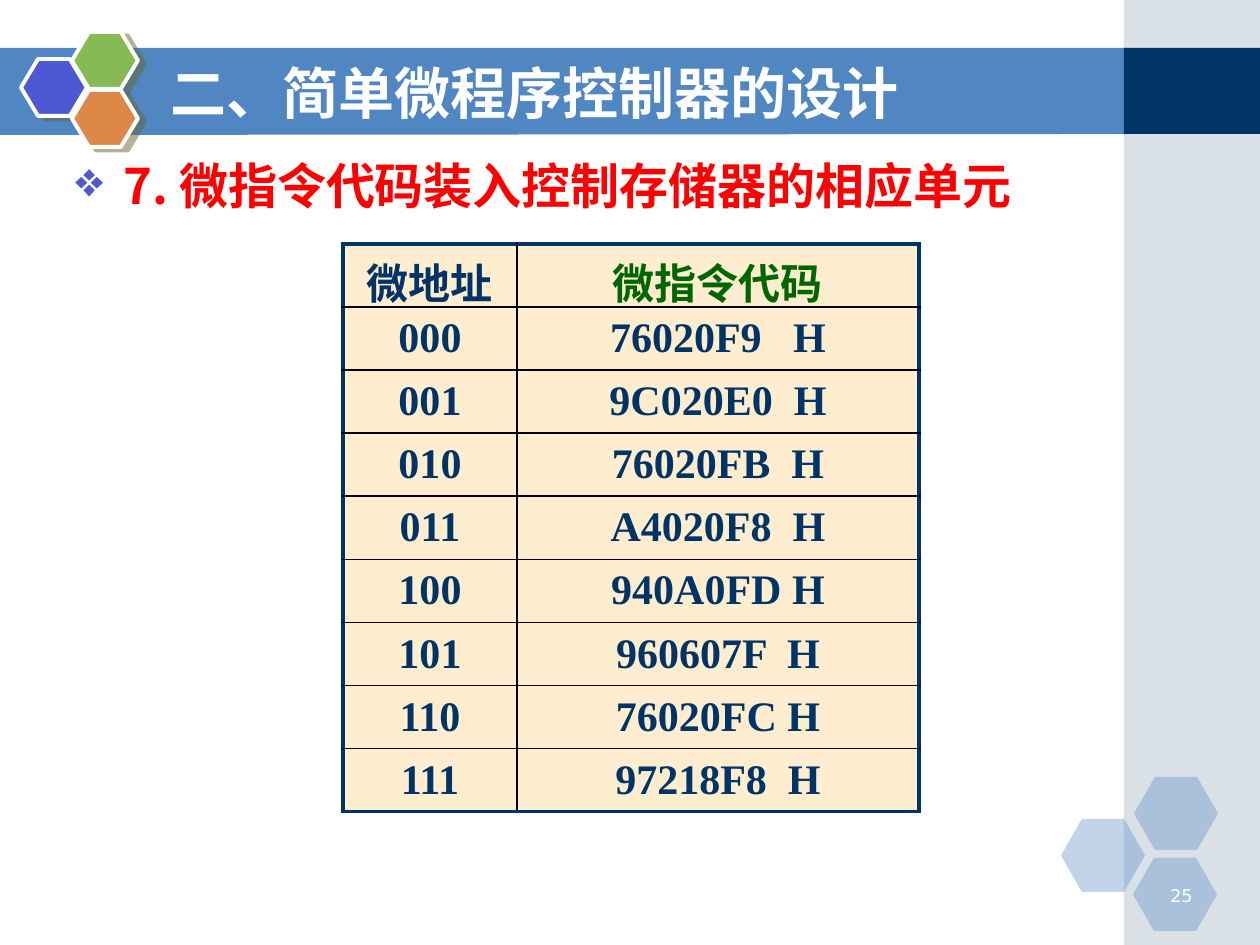
from lxml import etree
from pptx import Presentation
from pptx import util as u
from pptx.dml.color import RGBColor
from pptx.enum import shapes, text
from pptx.oxml import ns

PX = 914400 / 126
NAVY, BLUE, WHITE, CREAM = "003366", "5086C2", "FFFFFF", "FEEDCE"
SANS, SERIF = "Noto Sans CJK SC", "Times New Roman"
LEFT, MID, RIGHT = (text.PP_ALIGN.LEFT, text.PP_ALIGN.CENTER,
                    text.PP_ALIGN.RIGHT)
RECT, HEX = shapes.MSO_SHAPE.RECTANGLE, shapes.MSO_SHAPE.HEXAGON


def px(*nums):
    return [u.Emu(round(n * PX)) for n in nums]


def rgb(code):
    return RGBColor.from_string(code)


def add(parent, tag, **attrs):
    return etree.SubElement(parent, ns.qn("a:" + tag), attrs)


def tint(parent, code, alpha=None):
    """Add a solid colour element, with opacity in percent."""
    clr = add(parent, "srgbClr", val=code)
    if alpha:
        add(clr, "alpha", val=str(alpha * 1000))


class Deck:
    def __init__(self, wide, high):
        self.prs = Presentation()
        self.prs.slide_width, self.prs.slide_height = px(wide, high)
        self.slide = self.prs.slides.add_slide(self.prs.slide_layouts[6])
        self.items = self.slide.shapes

    def paint(self, shape, fill, alpha=None):
        shape.shadow.inherit = False
        shape.fill.solid()
        shape.fill.fore_color.rgb = rgb(fill)
        if alpha:
            clr = shape.fill._xPr.find(".//" + ns.qn("a:srgbClr"))
            add(clr, "alpha", val=str(alpha * 1000))
        shape.line.fill.background()
        return shape

    def form(self, kind, box, fill, alpha=None, adj=None):
        shape = self.items.add_shape(kind, *px(*box))
        if adj:
            shape.adjustments[0] = adj
        return self.paint(shape, fill, alpha)

    def band(self, pts, fill):
        pts = [px(*pt) for pt in pts]
        pen = self.items.build_freeform(*pts[0], scale=1.0)
        pen.add_line_segments(pts[1:], close=True)
        return self.paint(pen.convert_to_shape(), fill)

    def badge(self, box, fill):
        """Draw a white-edged hexagon with a hard shadow."""
        shape = self.form(HEX, box, fill, adj=0.3)
        shape.line.color.rgb = rgb(WHITE)
        shape.line.width = u.Pt(2.25)
        fx = shape._element.spPr.find(ns.qn("a:effectLst"))
        cast = add(fx, "outerShdw", blurRad="0", dist=str(u.Pt(4.5)),
                   dir=str(27 * 60000), algn="ctr", rotWithShape="0")
        tint(cast, "666633", 50)

    def style(self, para, size, code, face, bold=True, align=LEFT):
        para.alignment = align
        font = para.font
        font.size, font.bold = u.Pt(size), bold
        font.color.rgb = rgb(code)
        font.name = face
        east = SANS if face == SERIF else face
        add(font._element, "ea", typeface=east)

    def label(self, words, box, size, code, face, bold=True, align=LEFT,
              anchor=text.MSO_ANCHOR.TOP):
        frame = self.items.add_textbox(*px(*box)).text_frame
        frame.word_wrap = True
        frame.vertical_anchor = anchor
        para = frame.paragraphs[0]
        para.text = words
        self.style(para, size, code, face, bold, align)
        return para

    def bullet(self, para, mark, code, gap):
        ppr = para._p.get_or_add_pPr()
        ind = px(gap)[0]
        ppr.set("marL", str(ind))
        ppr.set("indent", str(-ind))
        hue = add(ppr, "buClr")
        tint(hue, code)
        sign = add(ppr, "buChar", char=mark)
        ppr.insert(0, hue)
        ppr.insert(1, sign)

    def edge(self, cell, side, outer):
        """Draw one cell border, heavier on the outside of the table."""
        code, pts = (NAVY, 2.25) if outer else ("000000", 1)
        line = add(cell._tc.get_or_add_tcPr(), "ln" + side,
                   w=str(u.Pt(pts)))
        tint(add(line, "solidFill"), code)

    def table(self, rows, left, top, cols, high):
        size = len(rows), len(cols)
        grid = self.items.add_table(
            *size, *px(left, top, sum(cols), high * len(rows))).table
        grid.first_row = grid.horz_banding = False
        for col, wide in zip(grid.columns, cols):
            col.width = px(wide)[0]
        for row in grid.rows:
            row.height = px(high)[0]
        for r, row in enumerate(rows):
            for c, words in enumerate(row):
                cell = grid.cell(r, c)
                outer = {"L": c == 0, "R": c == size[1] - 1,
                         "T": r == 0, "B": r == size[0] - 1}
                for side, out in outer.items():
                    self.edge(cell, side, out)
                cell.fill.solid()
                cell.fill.fore_color.rgb = rgb(CREAM)
                cell.vertical_anchor = text.MSO_ANCHOR.MIDDLE
                cell.text = words
                code = "006600" if (r, c) == (0, 1) else NAVY
                self.style(cell.text_frame.paragraphs[0], 24, code, SERIF,
                           align=MID)


def main():
    deck = Deck(1260, 945)
    deck.band([(-1, 48), (1128, 48), (1128, 134), (-1, 135)], BLUE)
    deck.form(RECT, (1124, 0, 136, 945), "A0B5C4", 40)
    deck.form(RECT, (1124, 48, 136, 86), NAVY)
    for x, y in [(1061, 819), (1134, 777), (1133, 858)]:
        deck.form(HEX, (x, y, 84, 73), BLUE, 35, 0.286)
    for x, y, code in [(21, 59, "4C59D2"), (72, 32, "85BA54"),
                       (72, 90, "DE8848")]:
        deck.badge((x, y, 66, 57), code)

    deck.label("25", (1142, 879, 63, 32), 10, WHITE, "DejaVu Sans",
               bold=False, align=RIGHT)
    deck.label("二、简单微程序控制器的设计", (158, 53, 924, 78), 32, WHITE,
               SANS, anchor=text.MSO_ANCHOR.MIDDLE)
    point = deck.label("7. 微指令代码装入控制存储器的相应单元",
                       (63, 149, 1134, 86), 28, "FF0000", SANS)
    deck.bullet(point, "❖", "4C59D2", 48)

    codes = ["76020F9   H", "9C020E0  H", "76020FB  H", "A4020F8  H",
             "940A0FD H", "960607F  H", "76020FC H", "97218F8  H"]
    rows = [("微地址", "微指令代码")]
    rows += [(f"{n:03b}", code) for n, code in enumerate(codes)]
    deck.table(rows, 343, 244, (174, 402), 63)
    deck.prs.save("out.pptx")


if __name__ == "__main__":
    main()
